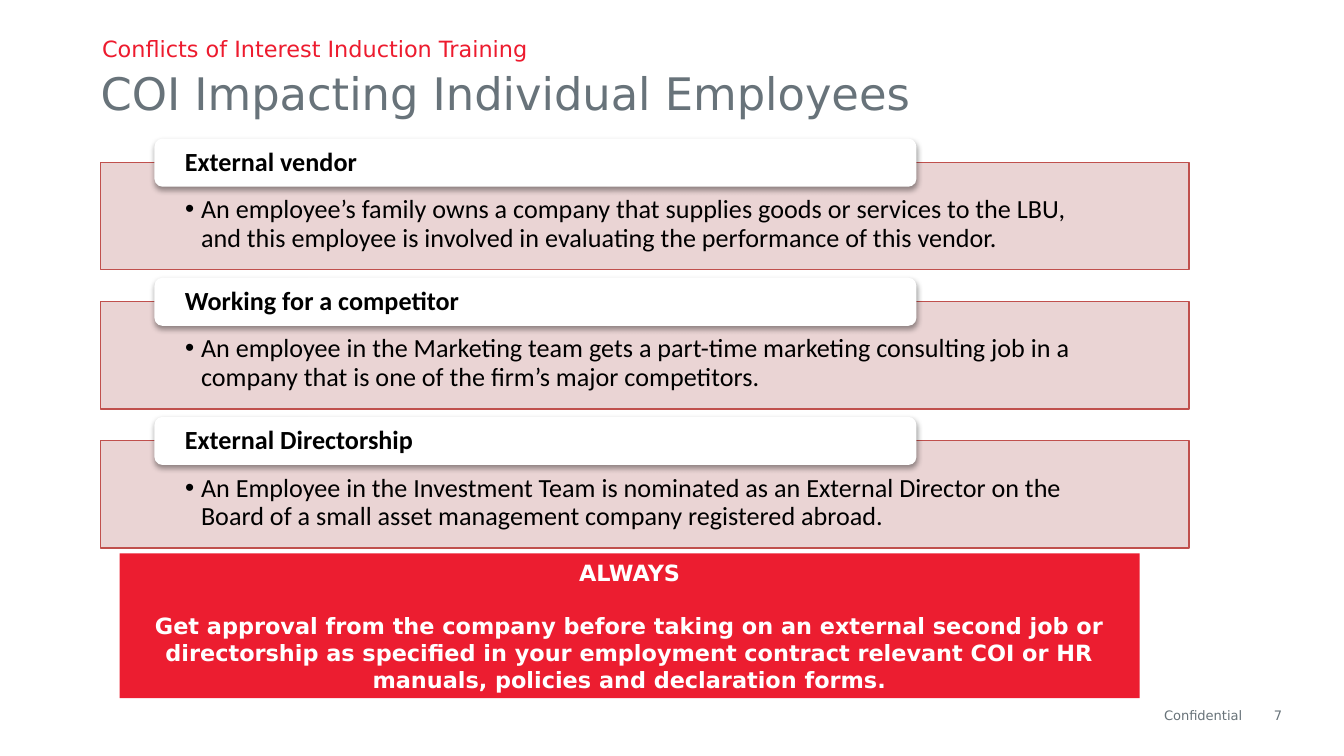
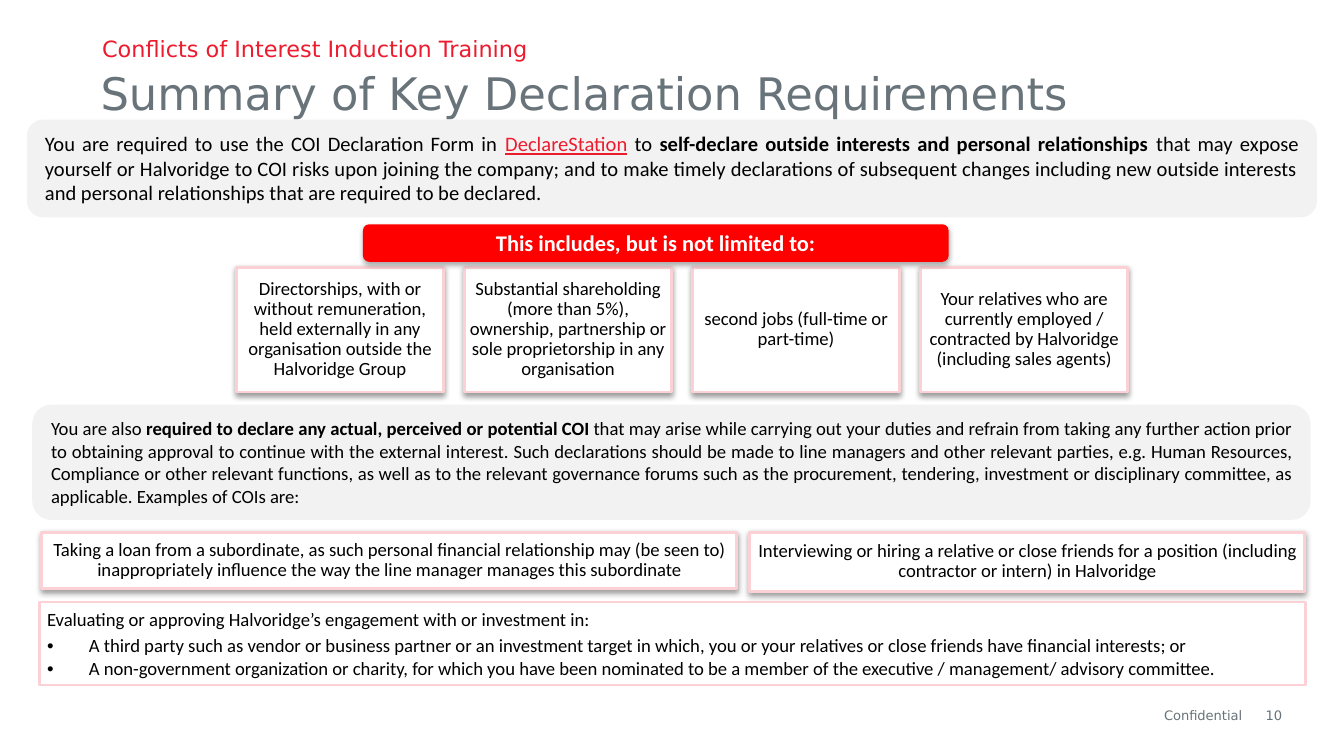
from lxml import etree
from pptx import Presentation
from pptx.dml.color import RGBColor
from pptx.enum.shapes import MSO_SHAPE as Preset
from pptx.enum.text import MSO_ANCHOR as Anchor, MSO_AUTO_SIZE as AutoSize, PP_ALIGN as Align
from pptx.oxml.ns import qn
from pptx.util import Cm, Pt

RED = RGBColor(0xED, 0x1B, 0x2E)
ALERT_RED = RGBColor(0xEC, 0x1D, 0x30)
BAR_RED = RGBColor(0xFF, 0x00, 0x00)
SLATE = RGBColor(0x68, 0x73, 0x7A)
FOOTER_GREY = RGBColor(0x68, 0x73, 0x79)
PINK = RGBColor(0xE8, 0xD0, 0xD0)
PINK_EDGE = RGBColor(0xC0, 0x50, 0x4D)
PALE_RED = RGBColor(0xFB, 0xD1, 0xD5)
PALE_GREY = RGBColor(0xF2, 0xF2, 0xF2)
WHITE = RGBColor(0xFF, 0xFF, 0xFF)
BLACK = RGBColor(0x00, 0x00, 0x00)

HEADING_FONT = "DejaVu Sans"
BODY_FONT = "Calibri"
TIGHT = {"line_spacing": 0.9}
CENTRED = {"alignment": Align.CENTER}
TIGHT_CENTRED = {**TIGHT, **CENTRED}
JUSTIFIED = {"alignment": Align.JUSTIFY}
BOLD = {"bold": True}
LINKED = {"color": RED, "underline": True}
DEFAULT_INSETS = (0.25, 0.13, 0.25, 0.13)


def assign(target, values):
    for name, value in values.items():
        setattr(target, name, value)


def add_element(parent, tag, **attributes):
    return etree.SubElement(parent, qn(tag), {key: str(value) for key, value in attributes.items()})


class Deck:
    """Holds the style and the current page."""

    def __init__(self):
        self.file = Presentation()
        assign(self.file, {"slide_width": Cm(25.4), "slide_height": Cm(14.29)})
        self.page = None

    def add_page(self, title, number):
        self.page = self.file.slides.add_slide(self.file.slide_layouts[1])
        heading, kicker = self.page.placeholders
        self.place(heading, (1.9, 1.27, 19.99, 0.81))
        self.add_text(heading, [title], 24, SLATE, HEADING_FONT, insets=(0, 0, 0, 0),
                      layout={"line_spacing": Pt(28)})
        self.place(kicker, (1.9, 0.74, 19.99, 0.41))
        self.add_text(kicker, ["Conflicts of Interest Induction Training"], 12, RED, HEADING_FONT,
                      insets=(0.03, 0, 0, 0), plain=True,
                      layout={"line_spacing": Pt(12), "space_before": Pt(0), "space_after": Pt(6)})
        self.footer("Confidential", (22, 13.39, 1.47, 0.28), FOOTER_GREY, Align.LEFT)
        self.footer(str(number), (23.8, 13.39, 0.43, 0.3), SLATE, Align.RIGHT)

    def place(self, box, area):
        assign(box, dict(zip(("left", "top", "width", "height"), map(Cm, area))))

    def footer(self, text, area, color, alignment):
        box = self.page.shapes.add_textbox(*map(Cm, area))
        self.add_text(box, [text], 7, color, HEADING_FONT, insets=(0, 0, 0, 0), wrap=False,
                      layout={"alignment": alignment, "line_spacing": Pt(8)})

    def box(self, area, fill=None, line=None, width=1.5, preset=Preset.RECTANGLE,
            shadow=0, opacity=100):
        """Draws a preset shape; shadow is its strength in percent."""
        box = self.page.shapes.add_shape(preset, *map(Cm, area))
        box.shadow.inherit = False
        if fill is None:
            box.fill.background()
        else:
            box.fill.solid()
            box.fill.fore_color.rgb = fill
        if line is None:
            box.line.fill.background()
        else:
            box.line.color.rgb = line
            box.line.width = Pt(width)
        properties = box._element.spPr
        if opacity < 100:
            color = properties.find(qn("a:solidFill")).find(qn("a:srgbClr"))
            add_element(color, "a:alpha", val=opacity * 1000)
        if shadow:
            outer = add_element(properties.find(qn("a:effectLst")), "a:outerShdw", blurRad=Pt(3.1),
                                dist=Pt(1.6), dir=90 * 60000, rotWithShape=0)
            color = add_element(outer, "a:srgbClr", val=BLACK)
            add_element(color, "a:alpha", val=shadow * 1000)
        return box

    def add_text(self, box, paras, size, color=BLACK, font=BODY_FONT, bold=False, layout=None,
                 anchor=Anchor.TOP, insets=DEFAULT_INSETS, wrap=True, bullet=0, plain=False):
        """Fills a box; each paragraph is a string or a list of (text, format) spans."""
        frame = box.text_frame
        assign(frame, {"auto_size": AutoSize.NONE, "word_wrap": wrap, "vertical_anchor": anchor})
        sides = ("margin_left", "margin_top", "margin_right", "margin_bottom")
        assign(frame, dict(zip(sides, map(Cm, insets))))
        for index, spans in enumerate(paras):
            para = frame.add_paragraph() if index else frame.paragraphs[0]
            if bullet or plain:
                self.bullet(para, bullet)
            assign(para, {"alignment": Align.LEFT, **(layout or {})})
            for text, values in [(spans, {})] if isinstance(spans, str) else spans:
                span = para.add_run()
                span.text = text
                values = {"name": font, "size": Pt(size), "bold": bold, "color": color, **values}
                span.font.color.rgb = values.pop("color")
                assign(span.font, values)
        return frame

    def bullet(self, para, indent):
        properties = para._p.get_or_add_pPr()
        properties.set("marL", str(Cm(indent)))
        properties.set("indent", str(-Cm(indent)))
        if indent:
            add_element(properties, "a:buFont", typeface="Arial")
            add_element(properties, "a:buChar", char="•")
        else:
            add_element(properties, "a:buNone")

    def scenario(self, top, name, example):
        panel = self.box((1.9, top, 20.57, 2.03), PINK, PINK_EDGE, 0.75, opacity=90)
        self.add_text(panel, [example], 14, layout=TIGHT, insets=(1.6, 0.64, 1.6, 0.28),
                      bullet=0.3)
        tab = self.box((2.92, top - 0.45, 14.4, 0.91), WHITE,
                       preset=Preset.ROUNDED_RECTANGLE, shadow=38)
        self.add_text(tab, [name], 14, bold=True, layout=TIGHT, anchor=Anchor.MIDDLE,
                      insets=(0.53, 0, 0.53, 0))

    def card(self, area, text, inset):
        card = self.box(area, WHITE, PALE_RED, shadow=38)
        self.add_text(card, [text], 10, layout=TIGHT_CENTRED, anchor=Anchor.MIDDLE,
                      insets=(inset,) * 4)

    def notice(self, area, spans, size):
        panel = self.box(area, PALE_GREY, preset=Preset.ROUNDED_RECTANGLE)
        self.add_text(panel, [spans], size, layout=JUSTIFIED)


def add_individual_page(deck):
    deck.add_page("COI Impacting Individual Employees", 7)

    # Scenarios
    scenarios = [
        ("External vendor",
         "An employee’s family owns a company that supplies goods or services to the LBU, "
         "and this employee is involved in evaluating the performance of this vendor."),
        ("Working for a competitor",
         "An employee in the Marketing team gets a part-time marketing consulting job in a "
         "company that is one of the firm’s major competitors."),
        ("External Directorship",
         "An Employee in the Investment Team is nominated as an External Director on the "
         "Board of a small asset management company registered abroad."),
    ]
    for row, (name, example) in enumerate(scenarios):
        deck.scenario(3.07 + row * 2.63, name, example)

    # Standing rule
    rule = deck.box((2.26, 10.46, 19.28, 2.74), ALERT_RED)
    frame = deck.add_text(rule, [
        "ALWAYS",
        "Get approval from the company before taking on an external second job or directorship "
        "as specified in your employment contract relevant COI or HR manuals, policies and "
        "declaration forms.",
    ], 12, WHITE, HEADING_FONT, bold=True, layout=CENTRED, anchor=Anchor.MIDDLE)
    frame.paragraphs[1].space_before = Pt(14)


def add_summary_page(deck):
    deck.add_page("Summary of Key Declaration Requirements", 10)

    # Declaration on joining
    deck.notice((0.51, 2.26, 24.38, 1.85), [
        ("You are required to use the COI Declaration Form in ", {}),
        ("DeclareStation", LINKED),
        (" to ", {}),
        ("self-declare outside interests and personal relationships ", BOLD),
        ("that may expose yourself or Halvoridge to COI risks upon joining the company; and to "
         "make timely declarations of subsequent changes including new outside interests and "
         "personal relationships that are required to be declared.", {}),
    ], 11)

    # Interests to declare
    interests = [
        "Directorships, with or without remuneration, held externally in any organisation "
        "outside the Halvoridge Group",
        "Substantial shareholding (more than 5%), ownership, partnership or sole "
        "proprietorship in any organisation",
        "second jobs (full-time or part-time)",
        "Your relatives who are currently employed / contracted by Halvoridge (including "
        "sales agents)",
    ]
    for column, interest in enumerate(interests):
        deck.card((4.47 + column * 4.31, 5.05, 3.91, 2.36), interest, 0.1)
    bar = deck.box((6.86, 4.24, 11.07, 0.71), BAR_RED,
                   preset=Preset.ROUNDED_RECTANGLE, shadow=35)
    deck.add_text(bar, ["This includes, but is not limited to:"], 12, WHITE, bold=True,
                  layout=CENTRED, anchor=Anchor.MIDDLE)

    # Declaration while in the job
    deck.notice((0.61, 7.65, 24.16, 2.18), [
        ("You are also ", {}),
        ("required to declare any actual, perceived or potential COI ", BOLD),
        ("that may arise while carrying out your duties and refrain from taking any further "
         "action prior to obtaining approval to continue with the external interest. Such "
         "declarations should be made to line managers and other relevant parties, e.g. Human "
         "Resources, Compliance or other relevant functions, as well as to the relevant "
         "governance forums such as the procurement, tendering, investment or disciplinary "
         "committee, as applicable. Examples of COIs are:", {}),
    ], 10)

    # Examples
    deck.card((0.79, 10.06, 13.13, 1.07),
              "Taking a loan from a subordinate, as such personal financial relationship may (be "
              "seen to) inappropriately influence the way the line manager manages this "
              "subordinate", 0.15)
    deck.card((14.17, 10.06, 10.49, 1.12),
              "Interviewing or hiring a relative or close friends for a position (including "
              "contractor or intern) in Halvoridge", 0.15)
    engagement = deck.box((0.74, 11.38, 23.93, 1.57), line=PALE_RED)
    frame = deck.add_text(engagement, [
        "Evaluating or approving Halvoridge’s engagement with or investment in:",
        "A third party such as vendor or business partner or an investment target in which, you "
        "or your relatives or close friends have financial interests; or",
        "A non-government organization or charity, for which you have been nominated to be a "
        "member of the executive / management/ advisory committee.",
    ], 10, layout=TIGHT, insets=(0.15,) * 4)
    lead, *cases = frame.paragraphs
    lead.space_after = Pt(3.5)
    for case in cases:
        deck.bullet(case, 0.79)
        case.space_after = Pt(1.5)


def main():
    deck = Deck()
    add_individual_page(deck)
    add_summary_page(deck)
    deck.file.save("out.pptx")


if __name__ == "__main__":
    main()
